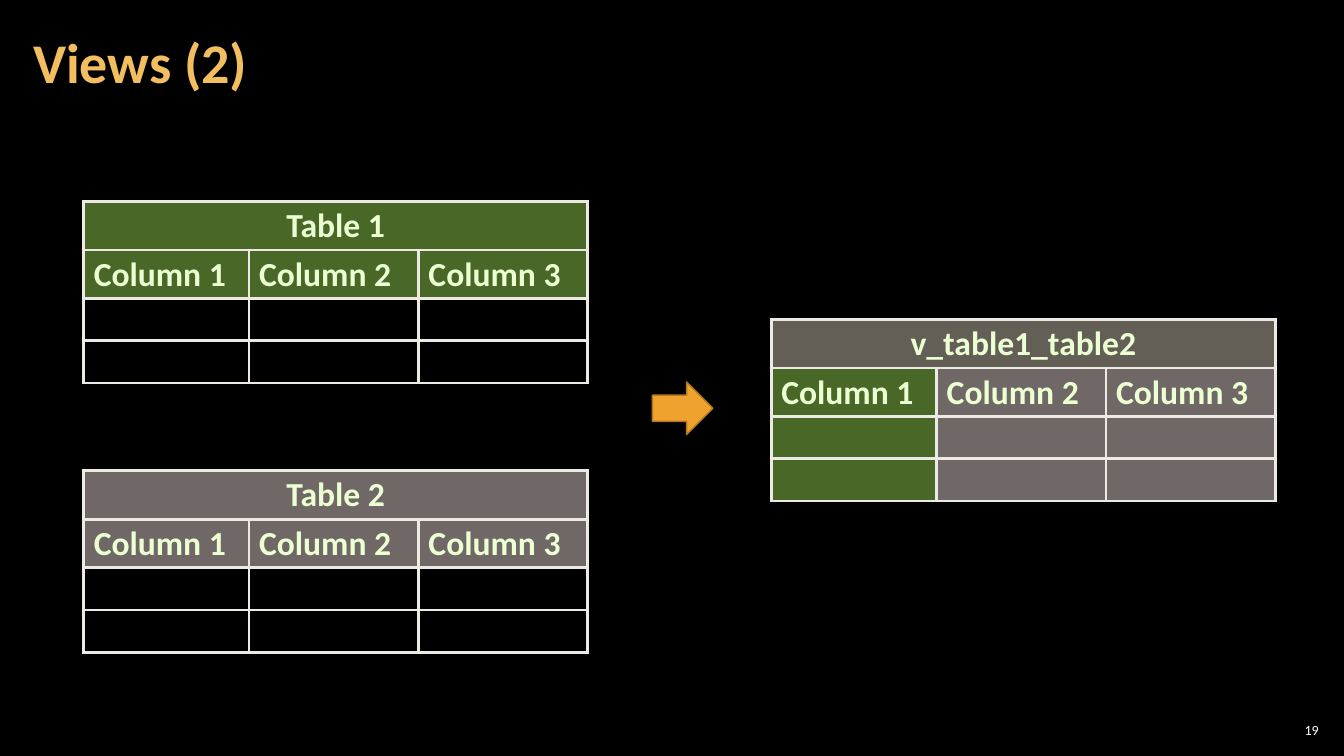
from dataclasses import dataclass

from lxml import etree
from pptx import Presentation
from pptx.dml.color import RGBColor
from pptx.enum.shapes import MSO_SHAPE
from pptx.enum.text import MSO_ANCHOR, PP_ALIGN
from pptx.oxml.ns import qn
from pptx.slide import Slide
from pptx.table import _Cell
from pptx.text.text import _Paragraph
from pptx.util import Inches, Pt

RIGHT_ARROW = MSO_SHAPE.RIGHT_ARROW
MIDDLE = MSO_ANCHOR.MIDDLE
LEFT, CENTER, RIGHT = PP_ALIGN.LEFT, PP_ALIGN.CENTER, PP_ALIGN.RIGHT

FONT = "Calibri"
BLACK = "000000"
WHITE = "FFFFFF"
TITLE_GOLD = "F3BE60"
ARROW_ORANGE = "F0A22E"
ARROW_EDGE = "B27822"
TABLE_TEXT = "EBFFD2"
TABLE_BORDER = "ECEAE3"
GREEN = "92D050"
ROSE = "E1D1CC"
SAND = "C7BFAC"

COLUMN_WIDTHS = (1.64, 1.68, 1.68)
ROW_HEIGHTS = (0.48, 0.48, 0.42, 0.42)
HEADINGS = ("Column 1", "Column 2", "Column 3")
BORDER_TAGS = ("a:lnL", "a:lnR", "a:lnT", "a:lnB")


@dataclass(frozen=True)
class Label:
    text: str
    left: float
    top: float
    width: float
    height: float
    side_margin: float
    size: float
    color: str
    bold: bool
    alignment: PP_ALIGN
    line_spacing: float


@dataclass(frozen=True)
class DataTable:
    name: str
    left: float
    top: float
    name_fill: str
    heading_fills: tuple[str, ...]
    body_fills: tuple[str | None, ...]


LABELS = (
    Label("19", 12.65, 7.14, 0.47, 0.21, 0.04, 10, WHITE, False, RIGHT, 1.0),
    Label("Views (2)", 0.21, 0.04, 10.47, 1.21, 0.12, 40, TITLE_GOLD, True, LEFT, 0.9),
)
VIEW_FILLS = (GREEN, ROSE, ROSE)
TABLES = (
    DataTable("Table 2", 0.83, 4.67, ROSE, (ROSE,) * 3, (None,) * 3),
    DataTable("Table 1", 0.83, 2.0, GREEN, (GREEN,) * 3, (None,) * 3),
    DataTable("v_table1_table2", 7.65, 3.17, SAND, VIEW_FILLS, VIEW_FILLS),
)


def rgb(value: str) -> RGBColor:
    return RGBColor.from_string(value)


def format_paragraph(paragraph: _Paragraph, size: float, color: str, bold: bool,
                     alignment: PP_ALIGN, line_spacing: float) -> None:
    paragraph.alignment = alignment
    paragraph.line_spacing = line_spacing
    for run in paragraph.runs:
        run.font.name = FONT
        run.font.size = Pt(size)
        run.font.bold = bold
        run.font.color.rgb = rgb(color)


def add_label(slide: Slide, label: Label) -> None:
    box = slide.shapes.add_textbox(Inches(label.left), Inches(label.top),
                                   Inches(label.width), Inches(label.height))
    text_frame = box.text_frame
    text_frame.word_wrap = True
    text_frame.vertical_anchor = MIDDLE
    text_frame.margin_left = text_frame.margin_right = Inches(label.side_margin)
    text_frame.margin_top = text_frame.margin_bottom = Inches(0.04)
    text_frame.text = label.text
    format_paragraph(text_frame.paragraphs[0], label.size, label.color, label.bold,
                     label.alignment, label.line_spacing)


def style_cell(cell: _Cell, fill: str | None) -> None:
    properties = cell._tc.get_or_add_tcPr()
    for tag in BORDER_TAGS:
        border = etree.SubElement(properties, qn(tag), w=str(Pt(2.25)))
        solid = etree.SubElement(border, qn("a:solidFill"))
        etree.SubElement(solid, qn("a:srgbClr"), val=TABLE_BORDER)
    if fill is None:
        cell.fill.background()
        return
    cell.fill.solid()
    cell.fill.fore_color.rgb = rgb(fill)
    color = properties.find(qn("a:solidFill")).find(qn("a:srgbClr"))
    etree.SubElement(color, qn("a:alpha"), val="50000")


def write_cell(cell: _Cell, text: str, alignment: PP_ALIGN) -> None:
    cell.text_frame.text = text
    format_paragraph(cell.text_frame.paragraphs[0], 24, TABLE_TEXT, True, alignment, 0.95)


def add_data_table(slide: Slide, data: DataTable) -> None:
    frame = slide.shapes.add_table(len(ROW_HEIGHTS), len(COLUMN_WIDTHS),
                                   Inches(data.left), Inches(data.top),
                                   Inches(sum(COLUMN_WIDTHS)), Inches(sum(ROW_HEIGHTS)))
    table = frame.table
    table.first_row = False
    table.horz_banding = False
    for column, width in zip(table.columns, COLUMN_WIDTHS):
        column.width = Inches(width)
    for row, height in zip(table.rows, ROW_HEIGHTS):
        row.height = Inches(height)
    row_fills = ((data.name_fill,) * 3, data.heading_fills, data.body_fills, data.body_fills)
    for row, fills in zip(table.rows, row_fills):
        for cell, fill in zip(row.cells, fills):
            style_cell(cell, fill)
    table.cell(0, 0).merge(table.cell(0, len(COLUMN_WIDTHS) - 1))
    write_cell(table.cell(0, 0), data.name, CENTER)
    for index, heading in enumerate(HEADINGS):
        write_cell(table.cell(1, index), heading, LEFT)


def add_arrow(slide: Slide) -> None:
    arrow = slide.shapes.add_shape(RIGHT_ARROW, Inches(6.47), Inches(3.79),
                                   Inches(0.6), Inches(0.52))
    arrow.shadow.inherit = False
    arrow.fill.solid()
    arrow.fill.fore_color.rgb = rgb(ARROW_ORANGE)
    arrow.line.color.rgb = rgb(ARROW_EDGE)
    arrow.line.width = Pt(1)


def main() -> None:
    presentation = Presentation()
    presentation.slide_width = Inches(13.33)
    presentation.slide_height = Inches(7.5)
    slide = presentation.slides.add_slide(presentation.slide_layouts[6])
    slide.background.fill.solid()
    slide.background.fill.fore_color.rgb = rgb(BLACK)
    for label in LABELS:
        add_label(slide, label)
    for data in TABLES:
        add_data_table(slide, data)
    add_arrow(slide)
    presentation.save("out.pptx")


if __name__ == "__main__":
    main()
